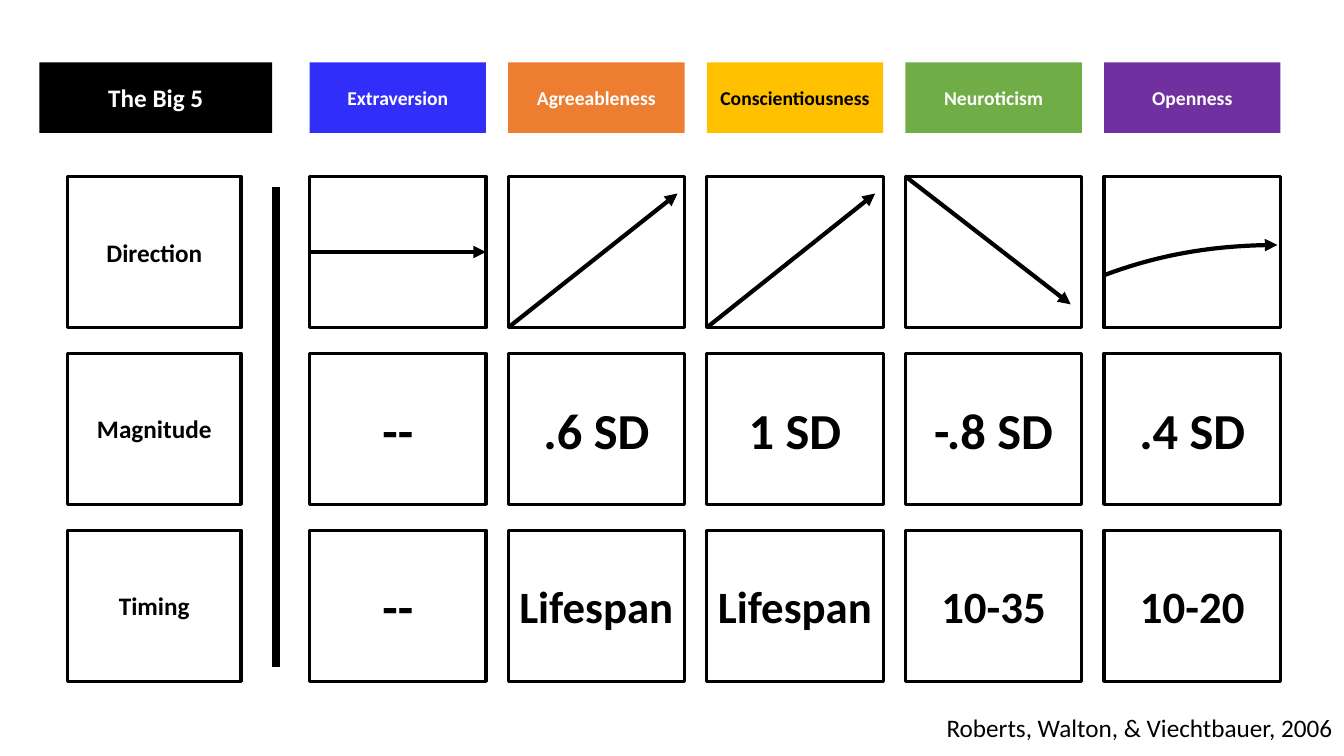
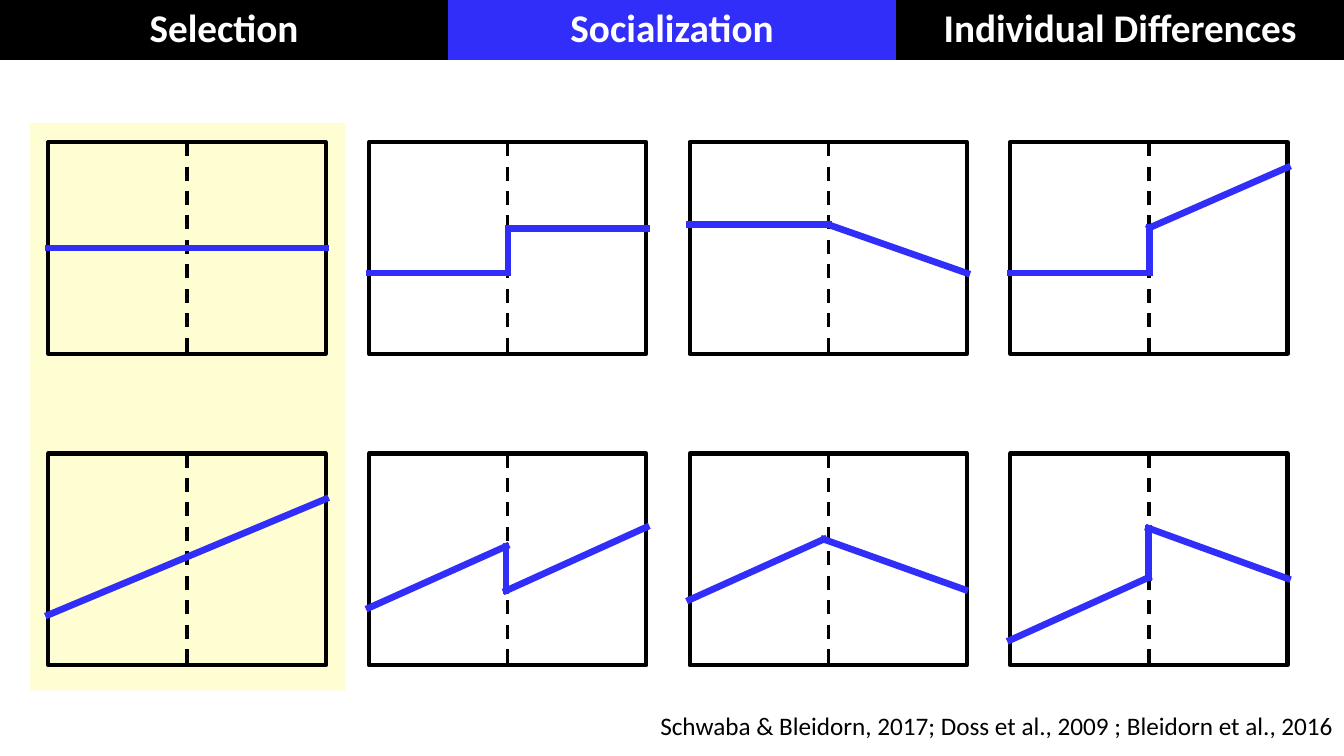
from dataclasses import dataclass
from itertools import pairwise

from lxml.etree import SubElement
from pptx import Presentation
from pptx.dml.color import RGBColor
from pptx.enum.dml import MSO_LINE
from pptx.enum.shapes import MSO_CONNECTOR, MSO_SHAPE
from pptx.enum.text import MSO_ANCHOR, PP_ALIGN
from pptx.oxml.ns import qn
from pptx.shapes.autoshape import Shape
from pptx.shapes.connector import Connector
from pptx.slide import Slide
from pptx.text.text import TextFrame
from pptx.util import Inches, Pt

BLACK = RGBColor(0x00, 0x00, 0x00)
WHITE = RGBColor(0xFF, 0xFF, 0xFF)
BLUE = RGBColor(0x30, 0x2E, 0xF8)
ORANGE = RGBColor(0xED, 0x7D, 0x31)
GOLD = RGBColor(0xFF, 0xC0, 0x00)
GREEN = RGBColor(0x70, 0xAD, 0x47)
PURPLE = RGBColor(0x70, 0x30, 0xA0)
YELLOW = RGBColor(0xFF, 0xFD, 0x78)

FONT = "Calibri"
SLIDE_WIDTH, SLIDE_HEIGHT = 13.33, 7.5
NO_TABLE_STYLE = "{2D5ABB26-0587-4C30-8999-92F81FD0307C}"
Point = tuple[float, float]

TRAIT_LEFT, TRAIT_STEP, TRAIT_WIDTH = 3.07, 1.97, 1.75
HEADER_TOP, HEADER_HEIGHT = 0.62, 0.7
ROW_TOP, ROW_STEP, ROW_HEIGHT = 1.75, 1.755, 1.5
LABEL_LEFT, LABEL_WIDTH = 0.67, 1.72

PANEL_LEFT, PANEL_STEP = 0.48, 3.18
PANEL_WIDTH, PANEL_HEIGHT = 2.75, 2.1


@dataclass(frozen=True)
class Trait:
    name: str
    color: RGBColor
    magnitude: str
    timing: str
    arrow: tuple[Point, Point] | None = None
    name_color: RGBColor = WHITE


@dataclass(frozen=True)
class PanelRow:
    top: float
    trajectories: tuple[tuple[Point, ...], ...]


TRAITS = (
    Trait("Extraversion", BLUE, "--", "--", ((0, 0.75), (1.75, 0.75))),
    Trait("Agreeableness", ORANGE, ".6 SD", "Lifespan", ((0, 1.5), (1.68, 0.17))),
    Trait("Conscientiousness", GOLD, "1 SD", "Lifespan", ((0, 1.5), (1.67, 0.17)), BLACK),
    Trait("Neuroticism", GREEN, "-.8 SD", "10-35", ((0, 0), (1.64, 1.27))),
    Trait("Openness", PURPLE, ".4 SD", "10-20"),
)

PANEL_ROWS = (
    PanelRow(1.41, (
        ((0, 1.05), (2.75, 1.05)),
        ((0, 1.3), (1.38, 1.3), (1.38, 0.86), (2.75, 0.86)),
        ((0, 0.82), (1.38, 0.82), (2.75, 1.3)),
        ((0, 1.3), (1.38, 1.3), (1.38, 0.85), (2.75, 0.25)),
    )),
    PanelRow(4.5, (
        ((0, 1.6), (2.75, 0.45)),
        ((0, 1.53), (1.36, 0.92), (1.36, 1.36), (2.75, 0.73)),
        ((0, 1.45), (1.33, 0.85), (2.73, 1.35)),
        ((0, 1.85), (1.37, 1.23), (1.37, 0.74), (2.75, 1.24)),
    )),
)


def write_text(text_frame: TextFrame, text: str, *, size: float = 18,
               color: RGBColor = BLACK, bold: bool = True,
               align: PP_ALIGN = PP_ALIGN.CENTER) -> None:
    paragraph = text_frame.paragraphs[0]
    paragraph.alignment = align
    run = paragraph.add_run()
    run.text = text
    run.font.name = FONT
    run.font.size = Pt(size)
    run.font.bold = bold
    run.font.color.rgb = color


def add_box(slide: Slide, left: float, top: float, width: float, height: float, *,
            fill: RGBColor | None = None, line_width: float = 0,
            kind: MSO_SHAPE = MSO_SHAPE.RECTANGLE) -> Shape:
    shape = slide.shapes.add_shape(
        kind, Inches(left), Inches(top), Inches(width), Inches(height))
    shape.shadow.inherit = False
    if fill is None:
        shape.fill.background()
    else:
        shape.fill.solid()
        shape.fill.fore_color.rgb = fill
    if line_width:
        shape.line.color.rgb = BLACK
        shape.line.width = Pt(line_width)
    else:
        shape.line.fill.background()
    return shape


def add_label(shape: Shape, text: str, *, size: float = 18,
              color: RGBColor = BLACK) -> None:
    text_frame = shape.text_frame
    text_frame.word_wrap = True
    text_frame.margin_left = text_frame.margin_right = Inches(0.05)
    text_frame.vertical_anchor = MSO_ANCHOR.MIDDLE
    write_text(text_frame, text, size=size, color=color)


def add_arrowhead(shape: Shape | Connector) -> None:
    SubElement(shape.line._get_or_add_ln(), qn("a:tailEnd"), type="triangle")


def add_line(slide: Slide, start: Point, end: Point, *, width: float,
             color: RGBColor = BLACK, dash: MSO_LINE | None = None) -> Connector:
    connector = slide.shapes.add_connector(
        MSO_CONNECTOR.STRAIGHT, *(Inches(value) for value in (*start, *end)))
    connector.line.color.rgb = color
    connector.line.width = Pt(width)
    if dash is not None:
        connector.line.dash_style = dash
    SubElement(connector._element.spPr, qn("a:effectLst"))
    return connector


def add_citation(slide: Slide, text: str, left: float, top: float) -> None:
    box = slide.shapes.add_textbox(
        Inches(left), Inches(top), Inches(SLIDE_WIDTH - left), Inches(0.4))
    box.text_frame.word_wrap = True
    box.text_frame.margin_right = 0
    write_text(box.text_frame, text, bold=False, align=PP_ALIGN.LEFT)


def shifted(point: Point, left: float, top: float) -> Point:
    return left + point[0], top + point[1]


def add_direction(slide: Slide, trait: Trait, left: float) -> None:
    if trait.arrow:
        start, end = (shifted(point, left, ROW_TOP) for point in trait.arrow)
        add_arrowhead(add_line(slide, start, end, width=3))
    else:
        arc = add_box(slide, 10.93, 1.11, 3.48, 6.12, line_width=3, kind=MSO_SHAPE.ARC)
        arc.rotation = 270
        arc.adjustments[0] = 185.99
        arc.adjustments[1] = 0
        add_arrowhead(arc)


def build_traits_slide(slide: Slide) -> None:
    title = add_box(slide, 0.39, HEADER_TOP, 2.31, HEADER_HEIGHT, fill=BLACK)
    add_label(title, "The Big 5", color=WHITE)
    row_tops = [ROW_TOP + ROW_STEP * row for row in range(3)]
    for top, name in zip(row_tops, ("Direction", "Magnitude", "Timing")):
        box = add_box(slide, LABEL_LEFT, top, LABEL_WIDTH, ROW_HEIGHT, line_width=2.25)
        add_label(box, name)
    add_line(slide, (2.74, 1.86), (2.74, 6.62), width=6)

    for column, trait in enumerate(TRAITS):
        left = TRAIT_LEFT + TRAIT_STEP * column
        header = add_box(slide, left, HEADER_TOP, TRAIT_WIDTH, HEADER_HEIGHT,
                         fill=trait.color)
        add_label(header, trait.name, size=14, color=trait.name_color)
        add_direction(slide, trait, left)
        timing_size = 36 if trait.timing == "--" else 32
        contents = (("", 0), (trait.magnitude, 36), (trait.timing, timing_size))
        for top, (text, size) in zip(row_tops, contents):
            box = add_box(slide, left, top, TRAIT_WIDTH, ROW_HEIGHT, line_width=2.25)
            if text:
                add_label(box, text, size=size)
    add_citation(slide, "Roberts, Walton, & Viechtbauer, 2006", 9.29, 7.02)


def add_section_bar(slide: Slide, names: tuple[str, ...], current: str) -> None:
    frame = slide.shapes.add_table(
        1, len(names), 0, 0, Inches(SLIDE_WIDTH), Inches(0.6))
    frame.table._tbl.tblPr.find(qn("a:tableStyleId")).text = NO_TABLE_STYLE
    for cell, name in zip(frame.table.rows[0].cells, names):
        cell.fill.solid()
        cell.fill.fore_color.rgb = BLUE if name == current else BLACK
        write_text(cell.text_frame, name, size=28, color=WHITE)


def add_panel(slide: Slide, left: float, top: float,
              trajectory: tuple[Point, ...]) -> None:
    add_box(slide, left, top, PANEL_WIDTH, PANEL_HEIGHT, line_width=3)
    middle = left + PANEL_WIDTH / 2
    add_line(slide, (middle, top), (middle, top + PANEL_HEIGHT),
             width=2.5, dash=MSO_LINE.DASH)
    points = [shifted(point, left, top) for point in trajectory]
    for start, end in pairwise(points):
        segment = add_line(slide, start, end, width=4.75, color=BLUE)
        segment.line._get_or_add_ln().set("cap", "sq")


def build_trajectories_slide(slide: Slide) -> None:
    highlight = add_box(slide, 0.3, 1.22, 3.13, 5.63, fill=YELLOW)
    highlight_color = highlight._element.spPr.find(qn("a:solidFill"))[0]
    SubElement(highlight_color, qn("a:alpha"), val="32000")
    for row in PANEL_ROWS:
        for column, trajectory in enumerate(row.trajectories):
            add_panel(slide, PANEL_LEFT + PANEL_STEP * column, row.top, trajectory)
    add_section_bar(slide, ("Selection", "Socialization", "Individual Differences"),
                    "Socialization")
    add_citation(
        slide, "Schwaba & Bleidorn, 2017; Doss et al., 2009 ; Bleidorn et al., 2016",
        6.45, 7)


def main() -> None:
    presentation = Presentation()
    presentation.slide_width = Inches(SLIDE_WIDTH)
    presentation.slide_height = Inches(SLIDE_HEIGHT)
    blank_layout = presentation.slide_layouts[6]
    for build in (build_traits_slide, build_trajectories_slide):
        build(presentation.slides.add_slide(blank_layout))
    presentation.save("out.pptx")


if __name__ == "__main__":
    main()
